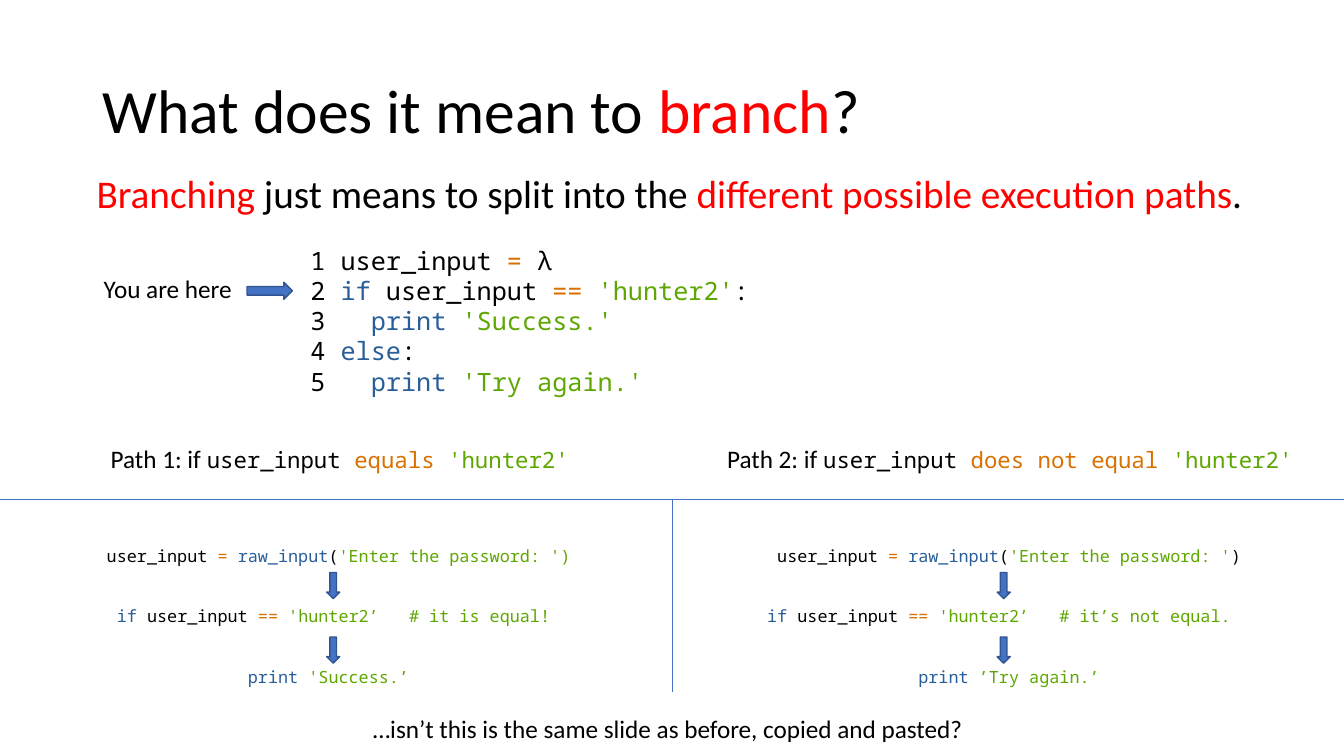
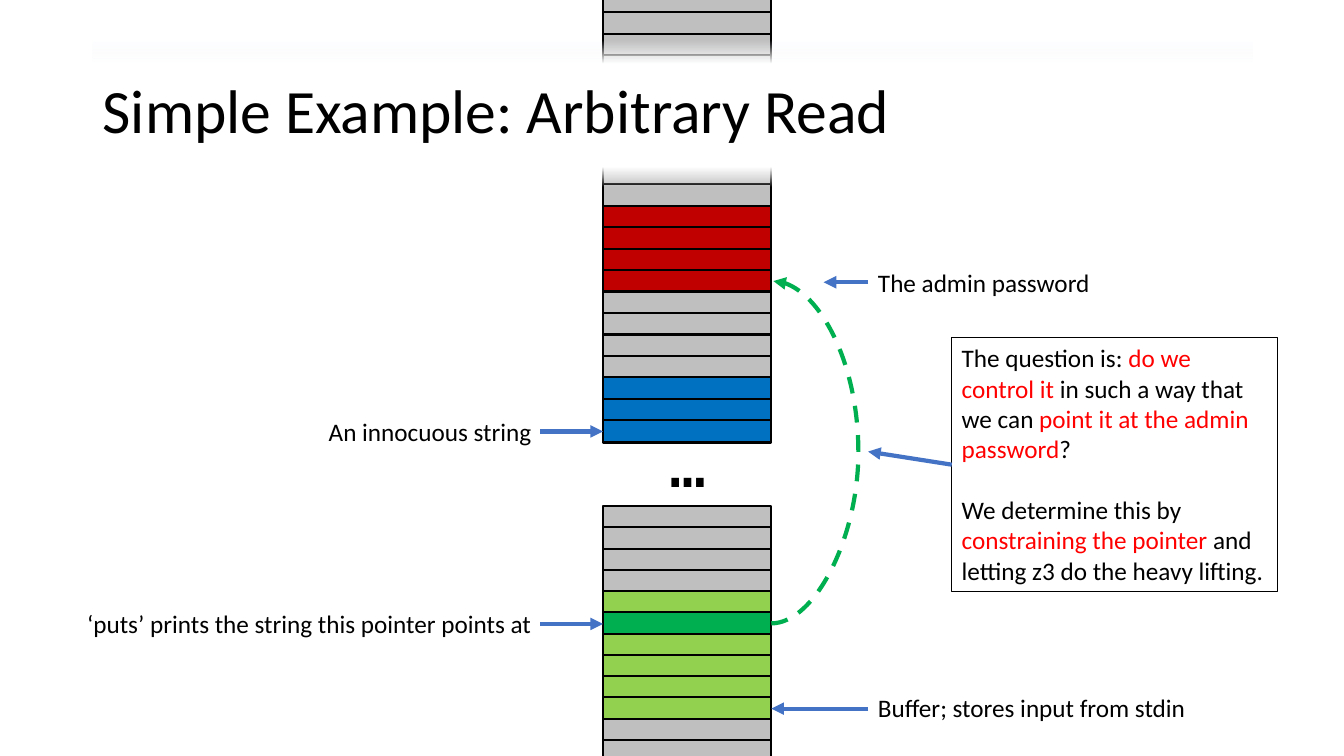
from pptx import Presentation
from pptx.dml.color import RGBColor
from pptx.enum.dml import MSO_LINE
from pptx.enum.shapes import MSO_CONNECTOR, MSO_SHAPE
from pptx.enum.text import MSO_ANCHOR, PP_ALIGN
from pptx.oxml import parse_xml
from pptx.oxml.ns import nsdecls, qn
from pptx.util import Inches, Pt

STRAIGHT, CURVE = MSO_CONNECTOR.STRAIGHT, MSO_CONNECTOR.CURVE
RECT, DOWN, RIGHT_ARROW = MSO_SHAPE.RECTANGLE, MSO_SHAPE.DOWN_ARROW, MSO_SHAPE.RIGHT_ARROW
LEFT, CENTER, RIGHT = PP_ALIGN.LEFT, PP_ALIGN.CENTER, PP_ALIGN.RIGHT
TOP, MIDDLE = MSO_ANCHOR.TOP, MSO_ANCHOR.MIDDLE

COLORS = {
    "black": "000000", "red": "FF0000", "accent": "4472C4", "edge": "325491",
    "operator": "D97100", "keyword": "295E99", "string": "5EA702",
    "gray": "BFBFBF", "secret": "C00000", "harmless": "0070C0",
    "buffer": "92D050", "pointer": "00B050",
}
RGB = {name: RGBColor.from_string(value) for name, value in COLORS.items()}
SANS, MONO = "Calibri", "Noto Sans Mono"
TITLE_BOX = (0.92, 0.4, 11.5, 1.45)


def add_text(s, box, paras, size=18, font=SANS, align=LEFT, anchor=TOP):
    """Add a text box; a run is (text, colour) or (text, colour, font, size)."""
    tb = s.shapes.add_textbox(*map(Inches, box))
    tf = tb.text_frame
    tf.word_wrap = True
    tf.vertical_anchor = anchor
    for i, runs in enumerate(paras):
        p = tf.paragraphs[0] if i == 0 else tf.add_paragraph()
        p.alignment = align
        for text, color, *style in runs:
            r = p.add_run()
            r.text = text
            r.font.name, size_pt = style or (font, size)
            r.font.size = Pt(size_pt)
            r.font.color.rgb = RGB[color]
    if box == TITLE_BOX:
        tf.paragraphs[0].line_spacing = 0.9
    return tb


def add_line(s, ends, width, color="accent", kind=STRAIGHT, arrow=True):
    """Add a line from the first to the second point."""
    line = s.shapes.add_connector(kind, *map(Inches, ends))
    line.line.color.rgb = RGB[color]
    line.line.width = Pt(width)
    if arrow:
        line.line._get_or_add_ln().append(
            parse_xml(f'<a:tailEnd {nsdecls("a")} type="triangle"/>'))
    line._element.spPr.append(parse_xml(f'<a:effectLst {nsdecls("a")}/>'))
    return line


prs = Presentation()
prs.slide_width, prs.slide_height = Inches(13.33), Inches(7.5)
blank = prs.slide_layouts[6]

# ---- Slide 1: branching ----
s = prs.slides.add_slide(blank)
add_text(s, TITLE_BOX, [[("What does it mean to ", "black"), ("branch", "red"),
                         ("?", "black")]], size=44, anchor=MIDDLE)
add_text(s, (0.86, 1.63, 11.9, 0.57), [[
    ("Branching", "red"), (" just means to split into the ", "black"),
    ("different possible execution paths", "red"), (".", "black")]], size=28)

# Program with a marker at the current line
program = [
    [("1 user_input ", "black"), ("= ", "operator"), ("λ", "black")],
    [("2", "black"), (" if ", "keyword"), ("user_input ", "black"),
     ("== ", "operator"), ("'hunter2'", "string"), (":", "black")],
    [("3   ", "black"), ("print ", "keyword"), ("'Success.'", "string")],
    [("4", "black"), (" else", "keyword"), (":", "black")],
    [("5   ", "black"), ("print ", "keyword"), ("'Try again.'", "string")],
]
add_text(s, (2.98, 2.38, 7.37, 1.62), program, font=MONO)
add_text(s, (0.93, 2.66, 1.6, 0.4), [[("You are here", "black")]])

# The two paths: heading box, code box, and the left indent of each step
paths = [
    ("Path 1: if ", "equals ", (0.49, 4.35, 5.76, 0.4), 0.66, (0.3, 0.4, 1.7),
     [("'Enter the password: ')", "string")],
     "'hunter2’   # it is equal!", "'Success.’"),
    ("Path 2: if ", "does not equal ", (6.99, 4.35, 6.05, 0.4), 7.31, (0.3, 0.2, 1.7),
     [("'Enter the password: '", "string"), (")", "black")],
     "'hunter2’   # it’s not equal.", "’Try again.’"),
]
for label, relation, heading_box, code_left, indents, prompt, test, output in paths:
    add_text(s, heading_box, [[
        (label, "black"), ("user_input ", "black", MONO, 16),
        (relation, "operator", MONO, 16), ("'hunter2'", "string", MONO, 16)]],
        align=CENTER)
    steps = [
        [("user_input ", "black"), ("= ", "operator"), ("raw_input", "keyword"),
         ("(", "black"), *prompt],
        [("if ", "keyword"), ("user_input ", "black"), ("== ", "operator"),
         (test, "string")],
        [("print ", "keyword"), (output, "string")],
    ]
    tb = add_text(s, (code_left, 5.36, 5.18, 1.51), steps, size=12, font=MONO)
    for i, (p, indent) in enumerate(zip(tb.text_frame.paragraphs, indents)):
        p._p.get_or_add_pPr().set("marL", str(Inches(indent)))
        if i:
            p.space_before = Pt(29)

# Block arrows: current line, then two per path
arrows = [(RIGHT_ARROW, 2.45, 2.8, 0.45, 0.17)]
arrows += [(DOWN, x, y, 0.13, 0.26) for x in (3.24, 9.89) for y in (5.68, 6.32)]
for kind, *box in arrows:
    sp = s.shapes.add_shape(kind, *map(Inches, box))
    sp.shadow.inherit = False
    sp.fill.solid()
    sp.fill.fore_color.rgb = RGB["accent"]
    sp.line.color.rgb = RGB["edge"]
    sp.line.width = Pt(1)

# Dividers and closing remark
for ends in [(0, 4.95, 13.33, 4.95), (6.67, 4.95, 6.67, 6.87)]:
    add_line(s, ends, 0.5, arrow=False)
add_text(s, (3.6, 7.03, 6.4, 0.4), [[
    ("…isn’t this is the same slide as before, copied and pasted?", "black")]])

# ---- Slide 2: arbitrary read ----
s = prs.slides.add_slide(blank)

# Memory cells: top, pitch and runs of equal colour
stacks = [
    (-0.09, 0.213, [("gray", 10), ("secret", 4), ("gray", 4), ("harmless", 3)]),
    (5.02, 0.211, [("gray", 4), ("buffer", 1), ("pointer", 1), ("buffer", 4),
                   ("gray", 2)]),
]
last_cell = {}
for top, pitch, groups in stacks:
    cells = [color for color, count in groups for _ in range(count)]
    for i, color in enumerate(cells):
        sp = s.shapes.add_shape(RECT, Inches(5.98), Inches(top + i * pitch),
                                Inches(1.67), Inches(0.22))
        sp.shadow.inherit = False
        sp.fill.solid()
        sp.fill.fore_color.rgb = RGB[color]
        sp.line.color.rgb = RGB["black"]
        sp.line.width = Pt(1.5)
        last_cell[color] = sp
add_text(s, (6.54, 4.18, 0.8, 0.84), [[("…", "black")]], size=44,
         font="DejaVu Sans Mono")

# Title over a white band that fades at top and bottom
title = add_text(s, TITLE_BOX, [[("Simple Example: Arbitrary Read", "black")]],
                 size=44, anchor=MIDDLE)
stops = "".join(
    f'<a:gs pos="{pos * 1000}"><a:srgbClr val="{color}">'
    f'<a:alpha val="{alpha * 1000}"/></a:srgbClr></a:gs>'
    for pos, color, alpha in [(0, "F6F8FC", 0), (16, "FFFFFF", 100),
                              (86, "FFFFFF", 100), (100, "FFFFFF", 0)])
spPr = title._element.spPr
spPr.replace(spPr.find(qn("a:noFill")), parse_xml(
    f'<a:gradFill {nsdecls("a")}><a:gsLst>{stops}</a:gsLst>'
    '<a:lin ang="5400000" scaled="0"/></a:gradFill>'))

# Dashed curve from the pointer to the password
curve = add_line(s, (7.65, 6.19, 7.67, 2.79), 3, "pointer", CURVE)
curve.line.dash_style = MSO_LINE.DASH
curve.begin_connect(last_cell["pointer"], 3)
curve.end_connect(last_cell["secret"], 3)
curve.end_x = Inches(7.67)
geom = curve._element.spPr.find(qn("a:prstGeom"))
geom.get_or_add_avLst().append(parse_xml(
    f'<a:gd {nsdecls("a")} name="adj1" fmla="val 4300000"/>'))

# Labels
labels = [
    ("Buffer; stores input from stdin", (8.61, 6.82, 3.6, 0.4), LEFT),
    ("‘puts’ prints the string this pointer points at", (0.31, 5.99, 5.06, 0.4), RIGHT),
    ("An innocuous string", (2.93, 4.08, 2.44, 0.4), RIGHT),
    ("The admin password", (8.61, 2.6, 2.6, 0.4), LEFT),
]
for text, box, align in labels:
    add_text(s, box, [[(text, "black")]], align=align)

# Framed question
question = add_text(s, (9.44, 3.35, 3.23, 2.52), [
    [("The question is: ", "black"), ("do we control it ", "red"),
     ("in such a way that we can ", "black"),
     ("point it at the admin password", "red"), ("?", "black")],
    [("We determine this by ", "black"), ("constraining the pointer ", "red"),
     ("and letting z3 do the heavy lifting.", "black")]])
question.text_frame.paragraphs[1].space_before = Pt(22)
question.line.color.rgb = RGB["black"]
question.line.width = Pt(0.75)

# Label arrows
for ends in [(8.61, 2.8, 8.17, 2.8), (5.36, 4.28, 5.98, 4.28),
             (5.36, 6.19, 5.98, 6.19), (8.61, 7.03, 7.65, 7.03),
             (9.44, 4.61, 8.61, 4.48)]:
    add_line(s, ends, 3)

prs.save("out.pptx")
